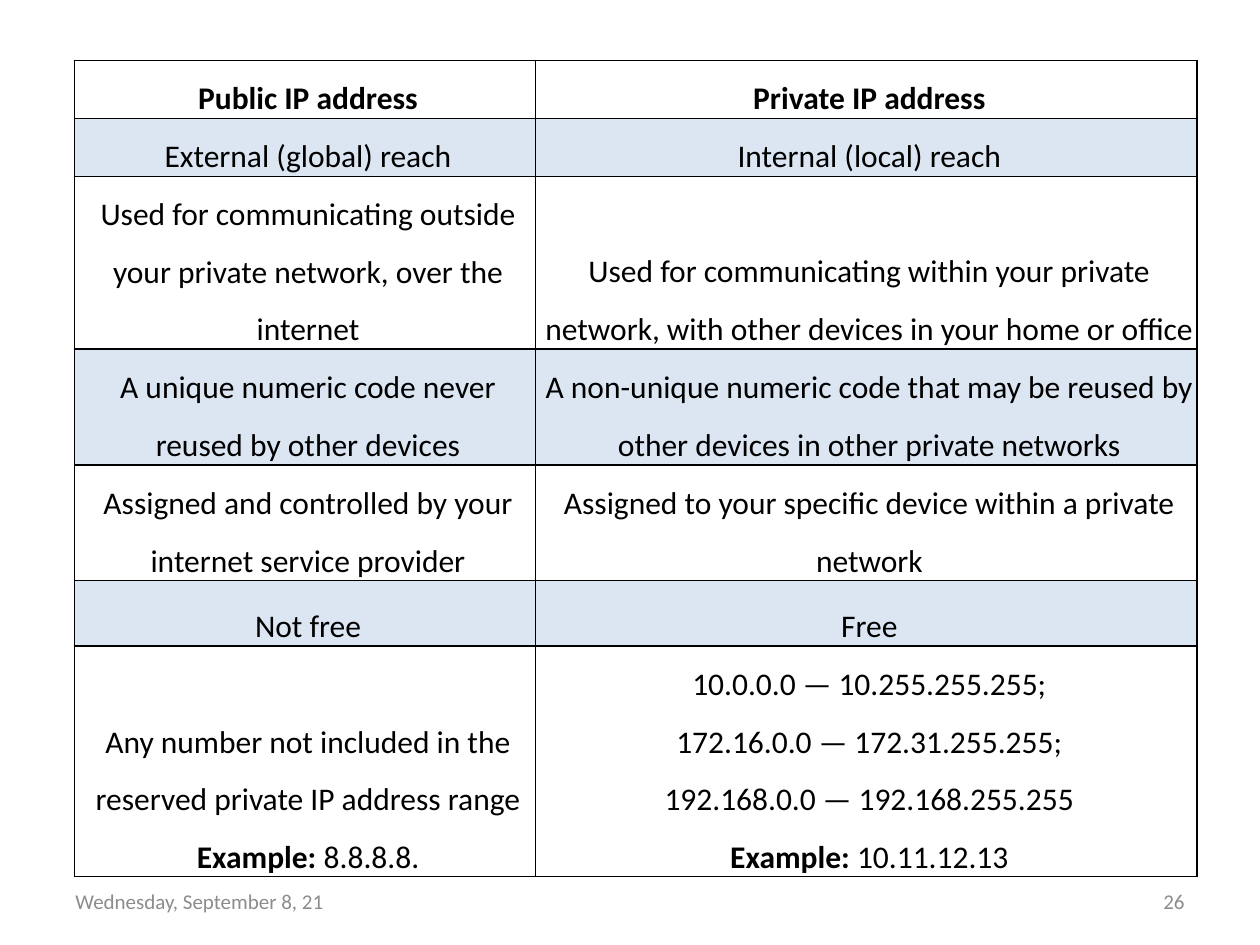
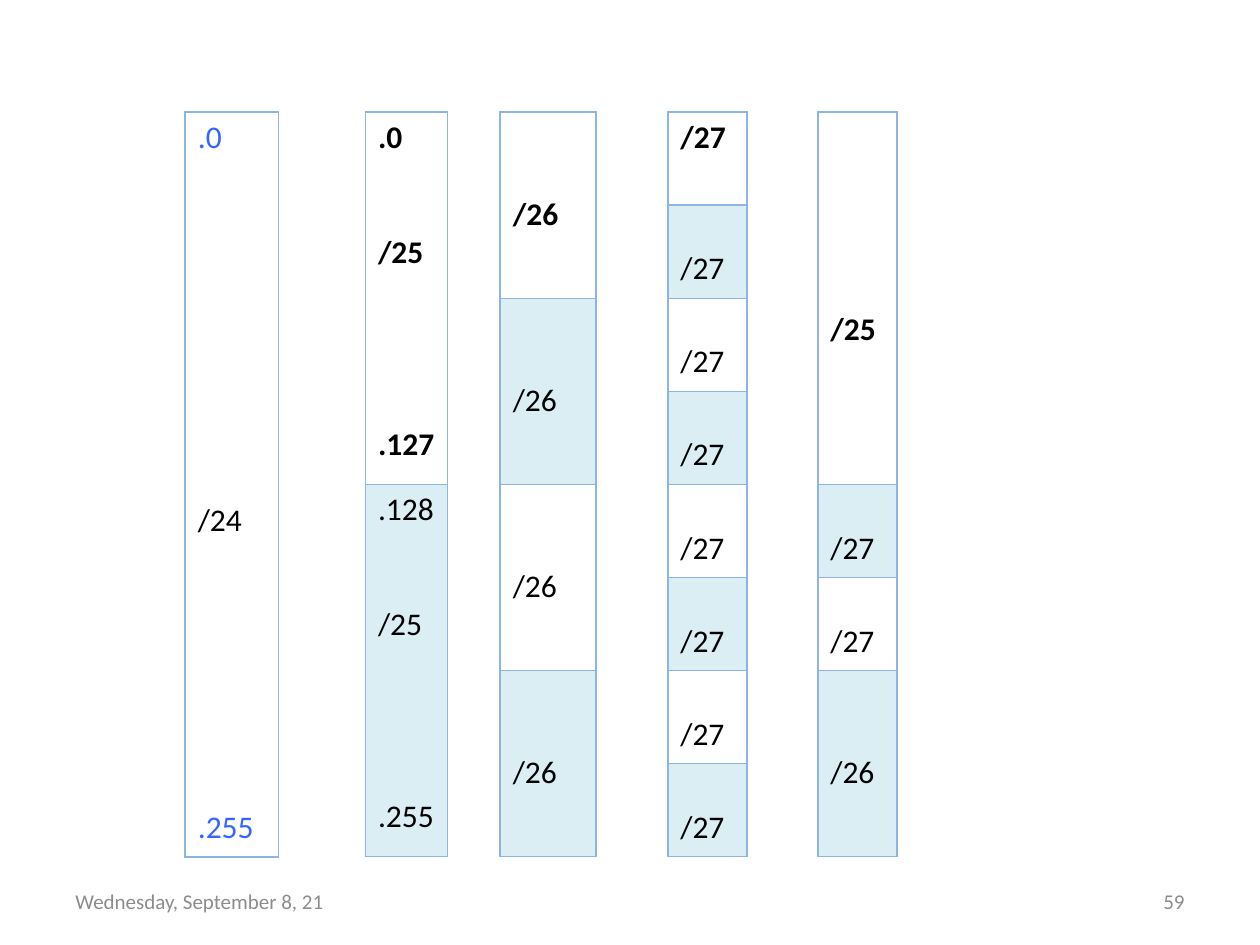
"""Builds two slides that compare IP addresses and split a /24 block into subnets."""
from lxml import etree
from pptx import Presentation
from pptx import util as u
from pptx.dml.color import RGBColor
from pptx.enum import text
from pptx.oxml import ns

INK = {"text": "000000", "foot": "8C8C8C", "mark": "3366FF",
       "sky": "DCE6F2", "aqua": "DBEEF4", "edge": "8EB4E3"}
FONT = "Calibri"
LINE = 21.9
PAD = 0.05
MID, END = text.PP_ALIGN.CENTER, text.PP_ALIGN.RIGHT


class Deck:
    def __init__(self):
        self.show = Presentation()
        self.show.slide_width, self.show.slide_height = u.Inches(10), u.Inches(7.5)
        self.slide = None

    def page(self, num):
        self.slide = self.show.slides.add_slide(self.show.slide_layouts[6])
        self.note(0.5, "Wednesday, September 8, 21")
        self.note(7.17, num, END)

    def style(self, para, size=18, ink="text", bold=None, align=None):
        font = para.font
        font.name, font.size, font.bold = FONT, u.Pt(size), bold
        font.color.rgb = RGBColor.from_string(INK[ink])
        para.alignment = align

    def note(self, left, words, align=None):
        box = self.slide.shapes.add_textbox(
            u.Inches(left), u.Inches(6.95), u.Inches(2.33), u.Inches(0.4))
        frame = box.text_frame
        frame.word_wrap = True
        frame.vertical_anchor = text.MSO_ANCHOR.MIDDLE
        frame.text = words
        self.style(frame.paragraphs[0], 12, "foot", align=align)

    def grid(self, left, top, cols, rows, tint, edge):
        table = self.slide.shapes.add_table(
            len(rows), len(cols), u.Inches(left), u.Inches(top),
            u.Inches(sum(cols)), u.Inches(sum(rows))).table
        table.first_row = table.horz_banding = False
        for col, width in zip(table.columns, cols):
            col.width = u.Inches(width)
        for num, (row, height) in enumerate(zip(table.rows, rows)):
            row.height = u.Inches(height)
            for cell in row.cells:
                if num % 2:
                    cell.fill.solid()
                    cell.fill.fore_color.rgb = RGBColor.from_string(INK[tint])
                else:
                    cell.fill.background()
                self.frame(cell, edge)
        return table

    def frame(self, cell, edge):
        props = cell._tc.get_or_add_tcPr()
        for spot, side in enumerate("LRTB"):
            line = etree.Element(ns.qn(f"a:ln{side}"), w=str(u.Pt(1)))
            fill = etree.SubElement(line, ns.qn("a:solidFill"))
            etree.SubElement(fill, ns.qn("a:srgbClr"), val=INK[edge])
            props.insert(spot, line)

    def paras(self, cell, count):
        frame = cell.text_frame
        for _ in range(count - 1):
            frame.add_paragraph()
        return frame.paragraphs

    def fact(self, cell, lines, bold):
        cell.vertical_anchor = text.MSO_ANCHOR.BOTTOM
        cell.margin_left = u.Inches(PAD)
        cell.margin_right = cell.margin_top = cell.margin_bottom = 0
        for para, line in zip(self.paras(cell, len(lines)), lines):
            label, colon, rest = line.rpartition(": ")
            if label:
                run = para.add_run()
                run.text, run.font.bold = label + colon, True
                para.add_run().text = rest
            else:
                para.text = line
            self.style(para, bold=bold, align=MID)
            para.line_spacing = 1.5

    def block(self, cell, marks, bold, ends):
        paras = self.paras(cell, len(marks))
        cell.margin_top = u.Inches(PAD) + u.Pt(marks[0][0] * LINE)
        for num, (para, (gap, words)) in enumerate(zip(paras, marks)):
            para.text = words
            self.style(para, ink="text" if words.startswith("/") else ends, bold=bold)
            if num:
                para.space_before = u.Pt(gap * LINE)


FACTS = [
    (0.46, ["Public IP address"], ["Private IP address"]),
    (0.46, ["External (global) reach"], ["Internal (local) reach"]),
    (1.37, ["Used for communicating outside your private network, over the internet"],
     ["Used for communicating within your private network, "
      "with other devices in your home or office"]),
    (0.92, ["A unique numeric code never reused by other devices"],
     ["A non-unique numeric code that may be reused by "
      "other devices in other private networks"]),
    (0.92, ["Assigned and controlled by your internet service provider"],
     ["Assigned to your specific device within a private network"]),
    (0.52, ["Not free"], ["Free"]),
    (1.83, ["Any number not included in the reserved private IP address range",
            "Example: 8.8.8.8."],
     ["10.0.0.0 — 10.255.255.255;\v172.16.0.0 — 172.31.255.255;\v"
      "192.168.0.0 — 192.168.255.255", "Example: 10.11.12.13"]),
]

HALF = (4, [(5, "/25")])
FOURTH = (2, [(2, "/26")])
EIGHTH = (1, [(1, "/27")])
SPLITS = [
    (1.47, 0.74, [(8, [(0, ".0"), (9, "/24"), (7, ".255")])]),
    (2.9, 0.65, [(4, [(0, low), (2, "/25"), (4, high)])
                 for low, high in ((".0", ".127"), (".128", ".255"))]),
    (3.97, 0.76, [FOURTH] * 4),
    (5.3, 0.63, [(1, [(0, "/27")])] + [EIGHTH] * 7),
    (6.49, 0.63, [HALF, EIGHTH, EIGHTH, FOURTH]),
]


def compare(deck):
    deck.page("26")
    table = deck.grid(0.59, 0.48, [3.66, 5.25], [fact[0] for fact in FACTS],
                      "sky", "text")
    for row, (_, *pair) in enumerate(FACTS):
        for col, lines in enumerate(pair):
            deck.fact(table.cell(row, col), lines, row == 0)


def split(deck):
    deck.page("59")
    for left, width, parts in SPLITS:
        rows = [size * 5.91 / 8 for size, _ in parts]
        table = deck.grid(left, 0.89, [width], rows, "aqua", "edge")
        whole = len(parts) == 1
        for row, (_, marks) in enumerate(parts):
            deck.block(table.cell(row, 0), marks, row == 0 and not whole,
                       "mark" if whole else "text")


def main():
    deck = Deck()
    compare(deck)
    split(deck)
    deck.show.save("out.pptx")


if __name__ == "__main__":
    main()
